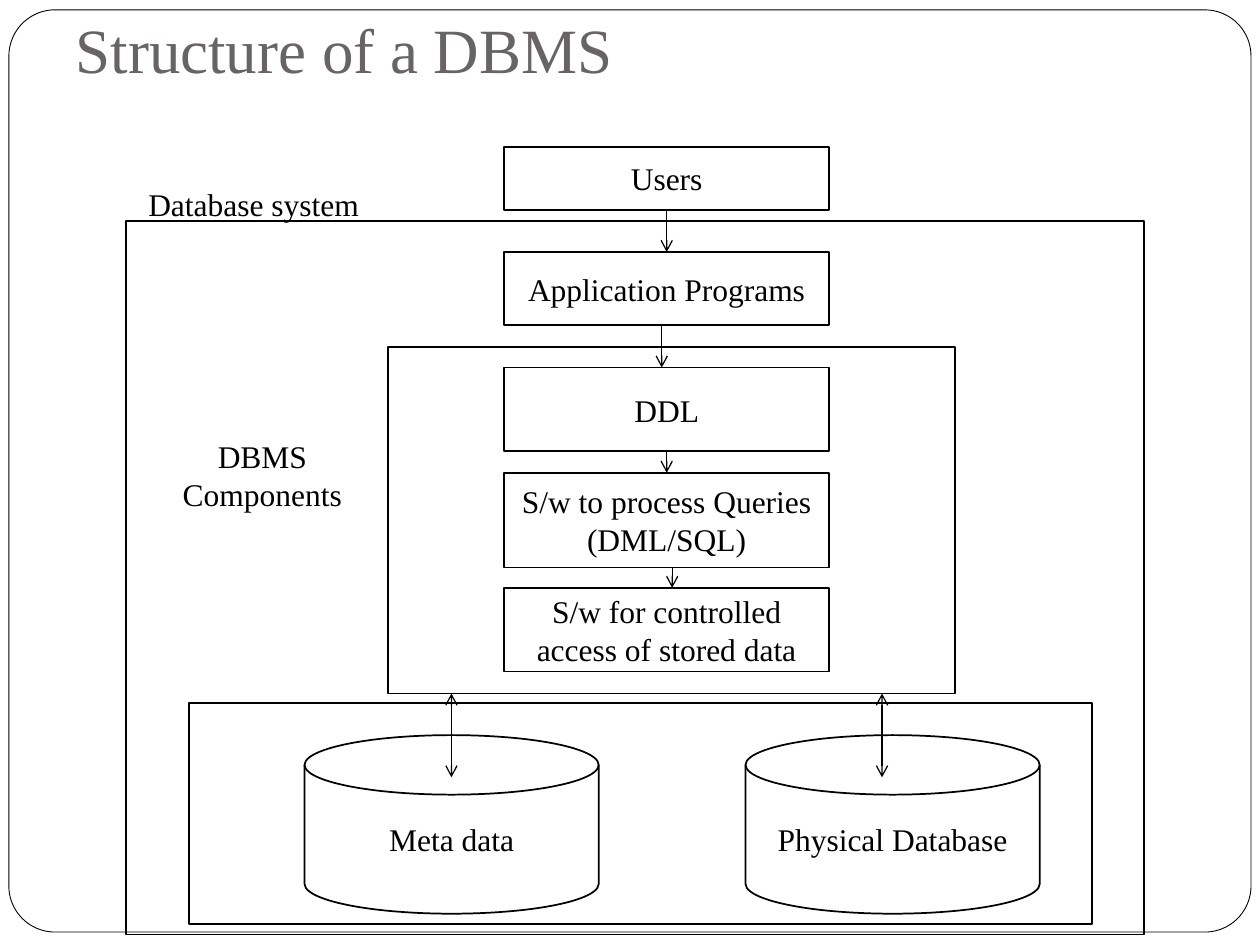
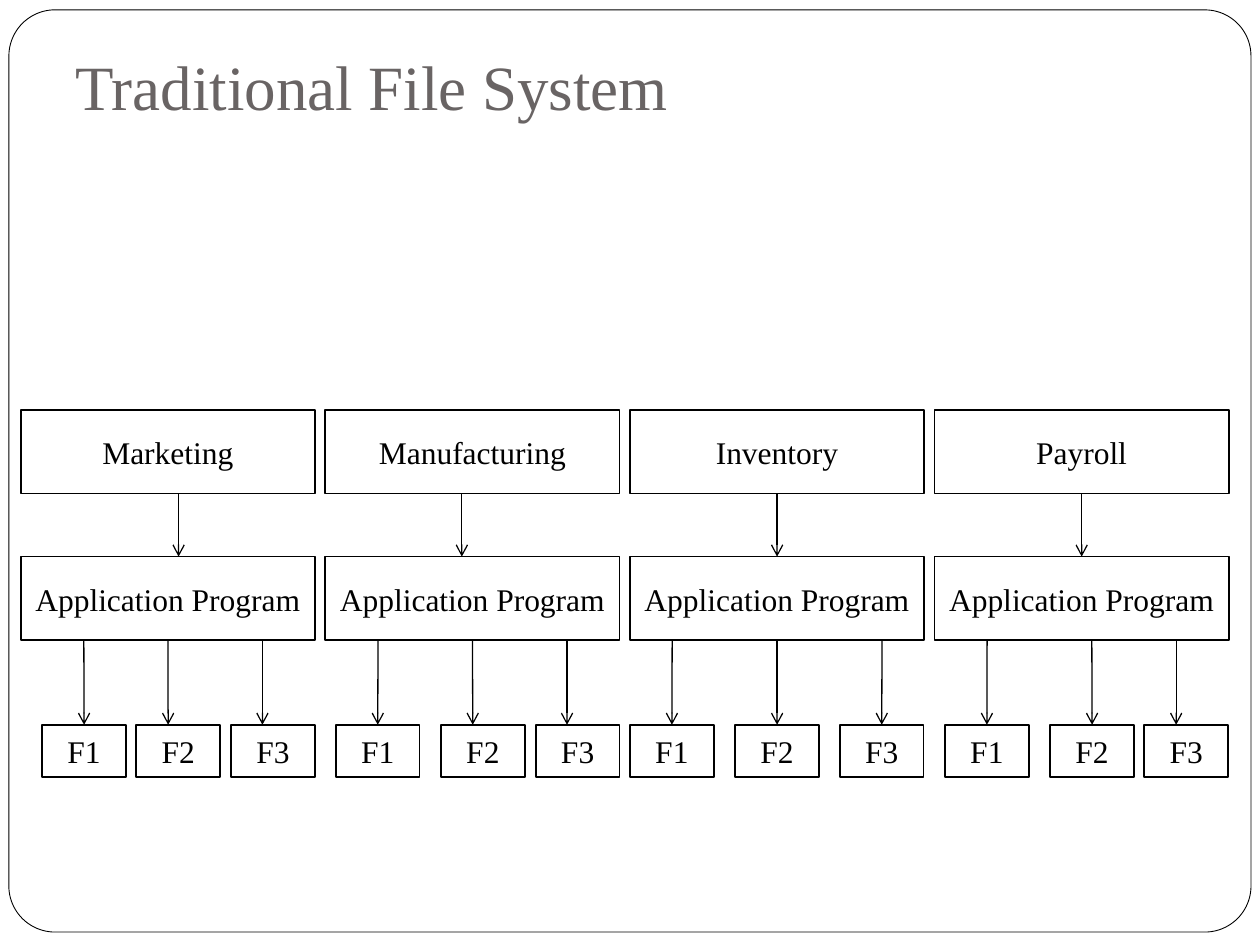
from lxml import etree
from pptx import Presentation
from pptx import util as u
from pptx.dml.color import RGBColor
from pptx.enum import shapes, text
from pptx.oxml import ns

BLACK = RGBColor(0x00, 0x00, 0x00)
WHITE = RGBColor(0xFF, 0xFF, 0xFF)
TITLE_GREY = RGBColor(0x69, 0x64, 0x64)
FONT = "Times New Roman"
RECT = shapes.MSO_SHAPE.RECTANGLE
DISK = shapes.MSO_SHAPE.FLOWCHART_MAGNETIC_DISK
LEFT, CENTER = text.PP_ALIGN.LEFT, text.PP_ALIGN.CENTER
TOP, MIDDLE, BOTTOM = text.MSO_ANCHOR.TOP, text.MSO_ANCHOR.MIDDLE, text.MSO_ANCHOR.BOTTOM


def write(shape, words, size=18, color=BLACK, align=CENTER, anchor=MIDDLE, fill=None, line=1):
    shape.shadow.inherit = False
    if fill is None:
        shape.fill.background()
    else:
        shape.fill.solid()
        shape.fill.fore_color.rgb = fill
    if line is None:
        shape.line.fill.background()
    else:
        shape.line.color.rgb = BLACK
        shape.line.width = u.Pt(line)
    frame = shape.text_frame
    frame.word_wrap = True
    frame.vertical_anchor = anchor
    frame.text = words
    for para in frame.paragraphs:
        para.alignment = align
        for span in para.runs:
            span.font.name = FONT
            span.font.size = u.Pt(size)
            span.font.color.rgb = color
    return shape


def arrow(page, x, upper, lower, depth=0, ends=("tailEnd",)):
    x = u.Cm(x)
    line = page.shapes.add_connector(
        shapes.MSO_CONNECTOR.STRAIGHT, x, upper.top + upper.height, x, lower.top + u.Cm(depth))
    if abs(upper.left + upper.width / 2 - x) < u.Cm(0.03):
        line.begin_connect(upper, 2)
    if not depth and abs(lower.left + lower.width / 2 - x) < u.Cm(0.03):
        line.end_connect(lower, 0)
    line.line.color.rgb = BLACK
    line.line.width = u.Pt(0.75)
    stroke = line.line._get_or_add_ln()
    for end in ends:
        etree.SubElement(stroke, ns.qn(f"a:{end}"), type="arrow")
    etree.SubElement(line.element.spPr, ns.qn("a:effectLst"))


deck = Presentation()
deck.slide_width, deck.slide_height = u.Cm(25.4), u.Cm(19.05)
layout = deck.slide_layouts[5]

pages = []
for heading, top, height in [("Structure of a DBMS", 0.2, 1.78), ("Traditional File System", 0.76, 1.98)]:
    page = deck.slides.add_slide(layout)
    title = page.shapes.title
    title.left, title.top, title.width, title.height = map(u.Cm, (1.27, top, 22.86, height))
    write(title, heading, size=36, color=TITLE_GREY, align=LEFT, anchor=BOTTOM, line=None)
    title.text_frame.auto_size = text.MSO_AUTO_SIZE.NONE
    title.text_frame.margin_bottom = u.Cm(0.25)
    pages.append(page)
structure, files = pages

border = structure.shapes.add_shape(
    shapes.MSO_SHAPE.ROUNDED_RECTANGLE, *map(u.Cm, (0.18, 0.2, 25.04, 18.59)))
border.adjustments[0] = 0.05
write(border, "", fill=WHITE, line=0.5)
layout.shapes.element.insert(2, border.element)

layers = []
for words, top, height in [
    ("Users", 2.96, 1.27),
    ("Application Programs", 5.08, 1.48),
    ("DDL", 7.41, 1.69),
    ("S/w to process Queries\n(DML/SQL)", 9.53, 1.91),
    ("S/w for controlled access of stored data", 11.85, 1.69),
]:
    box = structure.shapes.add_shape(RECT, *map(u.Cm, (10.16, top, 6.56, height)))
    layers.append(write(box, words, fill=WHITE))

stores = []
for words, left in [("Meta data", 6.14), ("Physical Database", 15.03)]:
    store = structure.shapes.add_shape(DISK, *map(u.Cm, (left, 14.82, 5.93, 3.6)))
    stores.append(write(store, words, fill=WHITE))

outlines = []
for bounds in [
    (3.81, 14.18, 18.2, 4.45),
    (7.83, 6.99, 11.43, 6.99),
    (2.54, 4.45, 20.53, 14.39),
]:
    outline = structure.shapes.add_shape(RECT, *map(u.Cm, bounds))
    outlines.append(write(outline, ""))
storage, components, system = outlines

for words, bounds, align in [
    ("DBMS Components", (2.96, 8.68, 4.66, 1.8), CENTER),
    ("Database system", (2.74, 3.6, 5.72, 1.02), LEFT),
]:
    label = structure.shapes.add_textbox(*map(u.Cm, bounds))
    write(label, words, align=align, anchor=TOP, line=None)

for x, upper, lower in zip((13.44, 13.34, 13.44, 13.55), layers, layers[1:]):
    arrow(structure, x, upper, lower)
for x, store in zip((9.1, 17.78), stores):
    arrow(structure, x, components, store, depth=0.85, ends=("headEnd", "tailEnd"))

departments = [
    ("Marketing", 3.6, (0.85, 2.75, 4.66), (1.69, 3.39, 5.29)),
    ("Manufacturing", 9.31, (6.77, 8.89, 10.8), (7.62, 9.53, 11.43)),
    ("Inventory", 15.66, (12.7, 14.82, 16.93), (13.55, 15.66, 17.78)),
    ("Payroll", 21.8, (19.05, 21.17, 23.07), (19.9, 22.01, 23.71)),
]
for column, (name, program_x, file_lefts, file_xs) in enumerate(departments):
    pair = []
    for words, top in [(name, 8.26), ("Application Program", 11.22)]:
        box = files.shapes.add_shape(RECT, *map(u.Cm, (0.42 + 6.14 * column, top, 5.93, 1.69)))
        pair.append(write(box, words))
    department, program = pair
    arrow(files, program_x, department, program)
    for number, (left, x) in enumerate(zip(file_lefts, file_xs), 1):
        box = files.shapes.add_shape(RECT, *map(u.Cm, (left, 14.61, 1.69, 1.06)))
        arrow(files, x, program, write(box, f"F{number}"))

deck.save("out.pptx")
